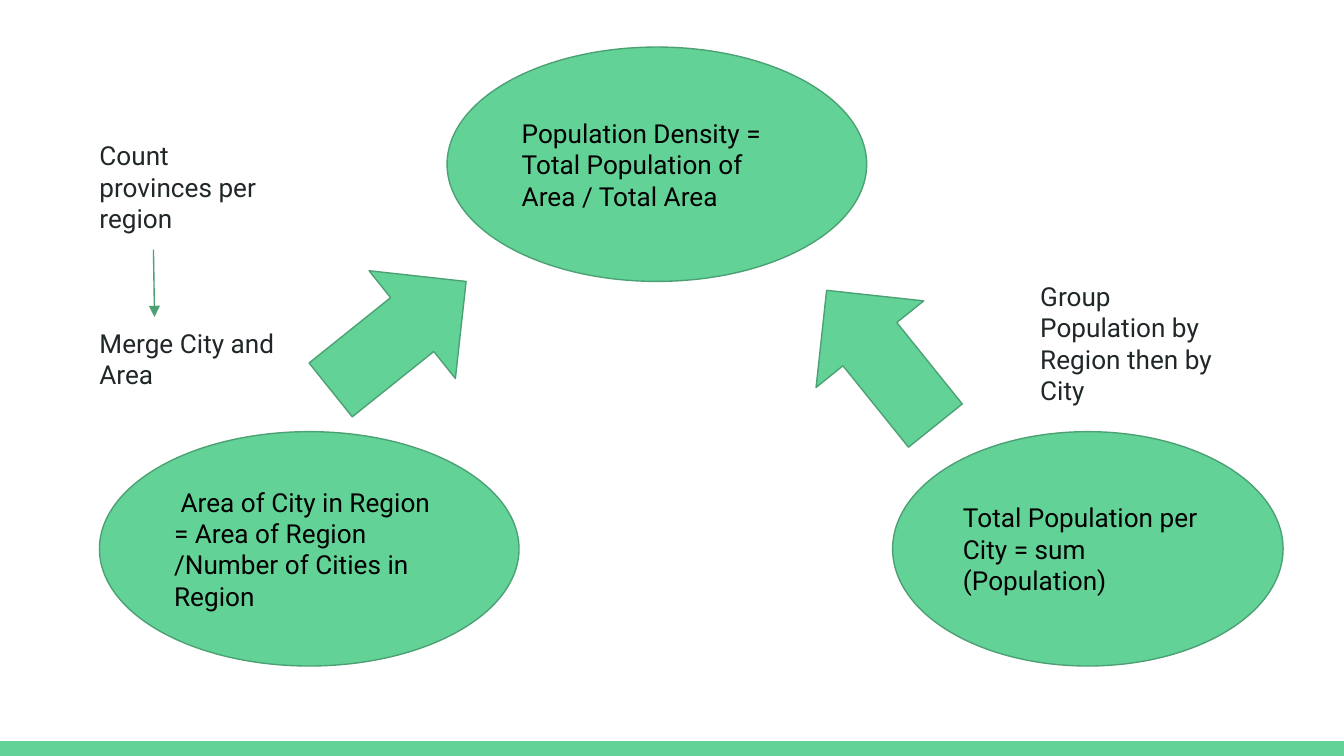
from lxml import etree
from pptx import Presentation
from pptx.dml.color import RGBColor
from pptx.enum.shapes import MSO_CONNECTOR, MSO_SHAPE
from pptx.enum.text import MSO_ANCHOR, PP_ALIGN
from pptx.oxml.ns import qn
from pptx.util import Cm, Pt

RECTANGLE, OVAL, ARROW = MSO_SHAPE.RECTANGLE, MSO_SHAPE.OVAL, MSO_SHAPE.RIGHT_ARROW
STRAIGHT = MSO_CONNECTOR.STRAIGHT
LEFT, TOP, MIDDLE = PP_ALIGN.LEFT, MSO_ANCHOR.TOP, MSO_ANCHOR.MIDDLE

COLORS = {"green": "63D297", "edge": "4BA173", "formula": "000000", "note": "202729"}
FONT = {"name": "Roboto", "size": Pt(14)}
INSET = Cm(0.25)
FRAME = {"word_wrap": True, "margin_left": INSET, "margin_right": INSET,
         "margin_top": INSET, "margin_bottom": INSET}
WIDTH, HEIGHT, BAR_HEIGHT = 25.4, 14.29, 0.28
STEP_GAP = Pt(50)

# Boxes are left, top, width, height in centimetres.
FORMULAS = [
    ((8.45, 0.89, 7.93, 4.43), "Population Density = Total Population of Area / Total Area"),
    ((1.88, 8.16, 7.93, 4.43),
     " Area of City in Region = Area of Region /Number of Cities in Region"),
    ((16.87, 8.16, 7.38, 4.43), "Total Population per City = sum (Population)"),
]
ARROWS = [((5.89, 5.04, 3.28, 2.61), -38.7), ((15.01, 5.46, 3.28, 2.61), -128.8)]
NOTES = [
    ((1.63, 2.39, 3.81, 0.94), ["Count provinces per region", "Merge City and Area"]),
    ((19.41, 5.05, 3.81, 0.94), ["Group Population by Region then by City"]),
]


def rgb(key):
    """Return the named colour."""
    return RGBColor.from_string(COLORS[key])


def apply(target, values):
    """Set each attribute in values on target."""
    for name, value in values.items():
        setattr(target, name, value)


def write(frame, paragraphs, color, anchor):
    """Fill a text frame, with a step gap between paragraphs."""
    apply(frame, {**FRAME, "vertical_anchor": anchor})
    for index, wording in enumerate(paragraphs):
        paragraph = frame.add_paragraph() if index else frame.paragraphs[0]
        paragraph.alignment = LEFT
        if index:
            paragraph.space_before = STEP_GAP
        run = paragraph.add_run()
        run.text = wording
        apply(run.font, FONT)
        run.font.color.rgb = rgb(color)


def add_green(slide, preset, box, outlined=True):
    """Place a green preset shape in the box."""
    green = slide.shapes.add_shape(preset, *map(Cm, box))
    green.shadow.inherit = False
    green.fill.solid()
    green.fill.fore_color.rgb = rgb("green")
    if outlined:
        green.line.color.rgb = rgb("edge")
        green.line.width = Pt(0.75)
    else:
        green.line.fill.background()
    return green


def add_formula(slide, box, wording):
    """Place an ellipse holding a formula."""
    write(add_green(slide, OVAL, box).text_frame, [wording], "formula", MIDDLE)


def add_note(slide, box, steps):
    """Place the preparation steps, with a thin arrow where two steps meet."""
    note = slide.shapes.add_textbox(*map(Cm, box))
    write(note.text_frame, steps, "note", TOP)
    if len(steps) > 1:
        left, top = box[:2]
        add_step_arrow(slide, left + 1.27, top + 2.33, 1.27)


def add_step_arrow(slide, x, y, length):
    """Draw a thin arrow downwards from the point."""
    step = slide.shapes.add_connector(STRAIGHT, Cm(x), Cm(y), Cm(x + 0.02), Cm(y + length))
    step.line.color.rgb = rgb("edge")
    step.line.width = Pt(0.75)
    etree.SubElement(step.line._get_or_add_ln(), qn("a:tailEnd"), type="triangle")
    etree.SubElement(step._element.spPr, qn("a:effectLst"))


def build_density_slide(slide):
    """Lay out the population density diagram."""
    add_green(slide, RECTANGLE, (0, HEIGHT - BAR_HEIGHT, WIDTH, BAR_HEIGHT), outlined=False)
    for box, wording in FORMULAS:
        add_formula(slide, box, wording)
    for box, angle in ARROWS:
        add_green(slide, ARROW, box).rotation = angle
    for box, steps in NOTES:
        add_note(slide, box, steps)


deck = Presentation()
apply(deck, {"slide_width": Cm(WIDTH), "slide_height": Cm(HEIGHT)})
build_density_slide(deck.slides.add_slide(deck.slide_layouts[6]))
deck.save("out.pptx")
